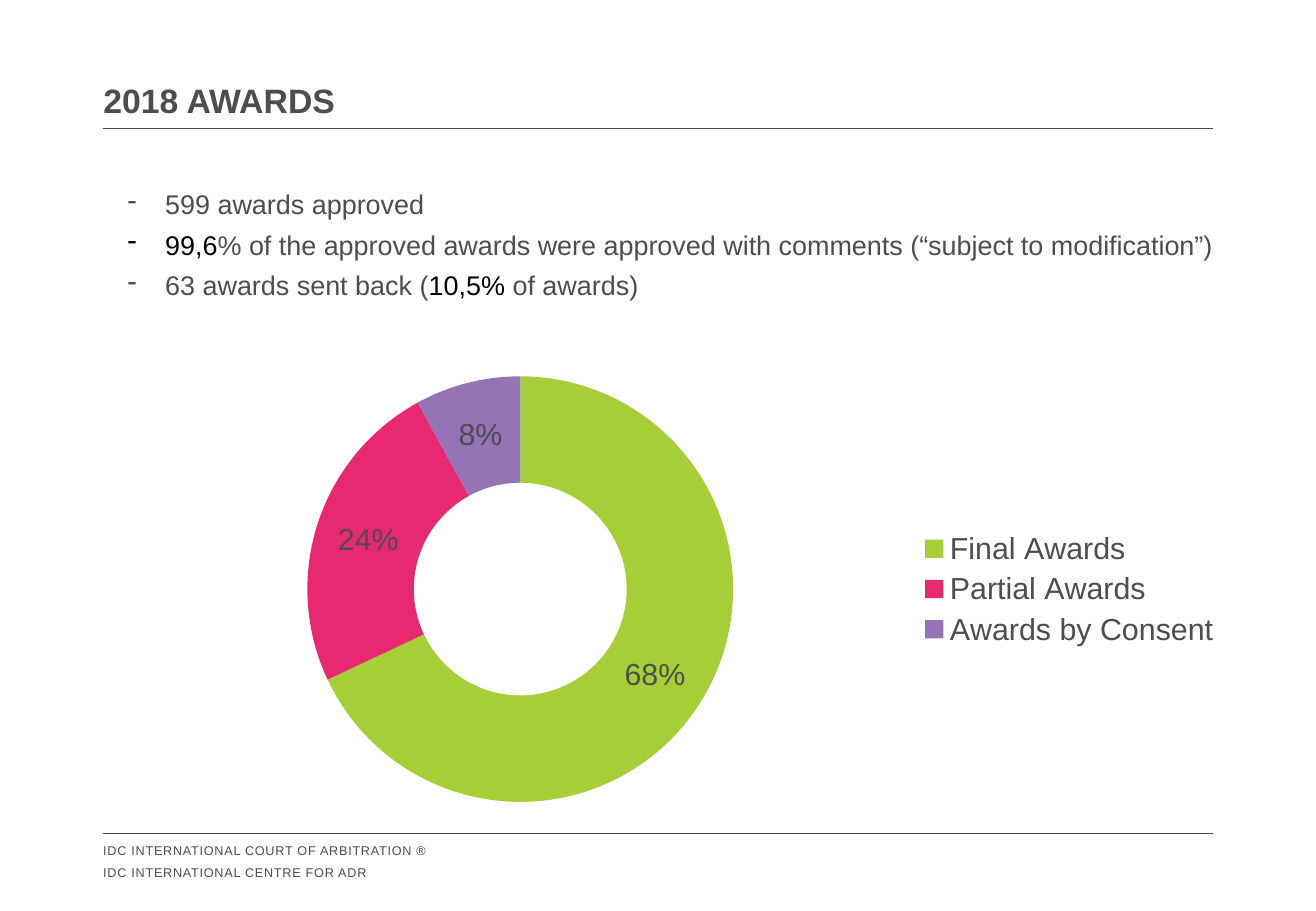
import pptx
import pptx.chart.data
import pptx.dml.color
import pptx.enum.chart
import pptx.enum.shapes
import pptx.enum.text
import pptx.oxml.ns
import pptx.util
from lxml import etree

WIDTH, HEIGHT = pptx.util.Inches(10.83), pptx.util.Inches(7.5)
FONT = "Arial"
COLORS = {"text": "4D4D4F", "figure": "000000", "final": "A6CE37",
          "partial": "E82870", "consent": "9474B4"}

# Places in percent of the slide's width and height
LEFT, RIGHT = 7.85, 92.15
TITLE_RULE, FOOTER_RULE = 14.13, 91.47

FOOTER = ["IDC INTERNATIONAL COURT OF ARBITRATION ®",
          "IDC INTERNATIONAL CENTRE FOR ADR"]
FINDINGS = [
    [("599 awards approved", "text")],
    [("99,6", "figure"),
     ("% of the approved awards were approved with comments "
      "(“subject to modification”)", "text")],
    [("63 awards sent back (", "text"), ("10,5% ", "figure"),
     ("of awards)", "text")],
]
AWARDS = [("Final Awards", 68, "final"), ("Partial Awards", 24, "partial"),
          ("Awards by Consent ", 8, "consent")]


def x(share):
    return round(WIDTH * share / 100)


def y(share):
    return round(HEIGHT * share / 100)


def box(left, top, width, height):
    return x(left), y(top), x(width), y(height)


def rgb(name):
    return pptx.dml.color.RGBColor.from_string(COLORS[name])


def set_font(font, size, color="text", bold=False):
    font.name = FONT
    font.size = pptx.util.Pt(size)
    font.bold = bold
    font.color.rgb = rgb(color)


def add_run(p, text, size, color="text", bold=False):
    r = p.add_run()
    r.text = text
    set_font(r.font, size, color, bold)
    return r


def set_frame(tf, top_inset=0):
    tf.word_wrap = True
    tf.auto_size = pptx.enum.text.MSO_AUTO_SIZE.NONE
    tf.margin_left = tf.margin_right = tf.margin_bottom = 0
    tf.margin_top = pptx.util.Inches(top_inset)


def next_paragraph(tf, index):
    if index == 0:
        return tf.paragraphs[0]
    p = tf.add_paragraph()
    p.space_before = pptx.util.Pt(4)
    return p


def add_title(s, text):
    sp = s.shapes.title
    sp.left, sp.top, sp.width, sp.height = box(LEFT, 8, RIGHT - LEFT, 5.2)
    tf = sp.text_frame
    set_frame(tf)
    tf.vertical_anchor = pptx.enum.text.MSO_ANCHOR.BOTTOM
    p = tf.paragraphs[0]
    p.alignment = pptx.enum.text.PP_ALIGN.LEFT
    add_run(p, text, 20, bold=True)


def add_rule(s, top):
    line = s.shapes.add_connector(
        pptx.enum.shapes.MSO_CONNECTOR.STRAIGHT,
        x(LEFT), y(top), x(RIGHT), y(top))
    line.line.color.rgb = rgb("text")
    line.line.width = pptx.util.Pt(0.5)
    etree.SubElement(line._element.spPr, pptx.oxml.ns.qn("a:effectLst"))


def add_footer(s):
    tf = s.shapes.add_textbox(*box(LEFT, 92, 24.75, 4.93)).text_frame
    set_frame(tf, top_inset=0.04)
    for i, text in enumerate(FOOTER):
        r = add_run(next_paragraph(tf, i), text, 7.5)
        r.font._element.set("spc", "40")


def add_findings(s):
    tf = s.shapes.add_textbox(*box(LEFT, 20.5, 87.26, 16)).text_frame
    set_frame(tf)
    for i, runs in enumerate(FINDINGS):
        p = next_paragraph(tf, i)
        p.line_spacing = 1.04
        # Dash with a hanging indent
        pPr = p._p.get_or_add_pPr()
        pPr.set("marL", str(pptx.util.Inches(0.51)))
        pPr.set("indent", str(pptx.util.Inches(-0.31)))
        etree.SubElement(pPr, pptx.oxml.ns.qn("a:buChar"), char="-")
        for text, color in runs:
            add_run(p, text, 16, color)


def add_awards_chart(s):
    data = pptx.chart.data.CategoryChartData()
    data.categories = [name for name, _, _ in AWARDS]
    data.add_series("Series 1", [value for _, value, _ in AWARDS])
    chart = s.shapes.add_chart(
        pptx.enum.chart.XL_CHART_TYPE.DOUGHNUT,
        *box(9.33, 39.47, 85.04, 50.4), data).chart
    set_font(chart.font, 18)
    chart.has_title = False
    chart.has_legend = True
    chart.legend.position = pptx.enum.chart.XL_LEGEND_POSITION.RIGHT
    chart.legend.include_in_layout = False

    # Ring colours and percentages
    plot = chart.plots[0]
    plot.vary_by_categories = True
    for i, (_, _, color) in enumerate(AWARDS):
        fill = plot.series[0].points[i].format.fill
        fill.solid()
        fill.fore_color.rgb = rgb(color)
    plot.has_data_labels = True
    labels = plot.data_labels
    labels.show_percentage = True
    labels.show_value = False
    labels.number_format = "0%"
    labels.number_format_is_linked = False
    set_font(labels.font, 18)


def main():
    prs = pptx.Presentation()
    prs.slide_width, prs.slide_height = WIDTH, HEIGHT
    s = prs.slides.add_slide(prs.slide_layouts.get_by_name("Title Only"))
    add_footer(s)
    for top in (TITLE_RULE, FOOTER_RULE):
        add_rule(s, top)
    add_findings(s)
    add_title(s, "2018 AWARDS")
    add_awards_chart(s)
    prs.save("out.pptx")


if __name__ == "__main__":
    main()
